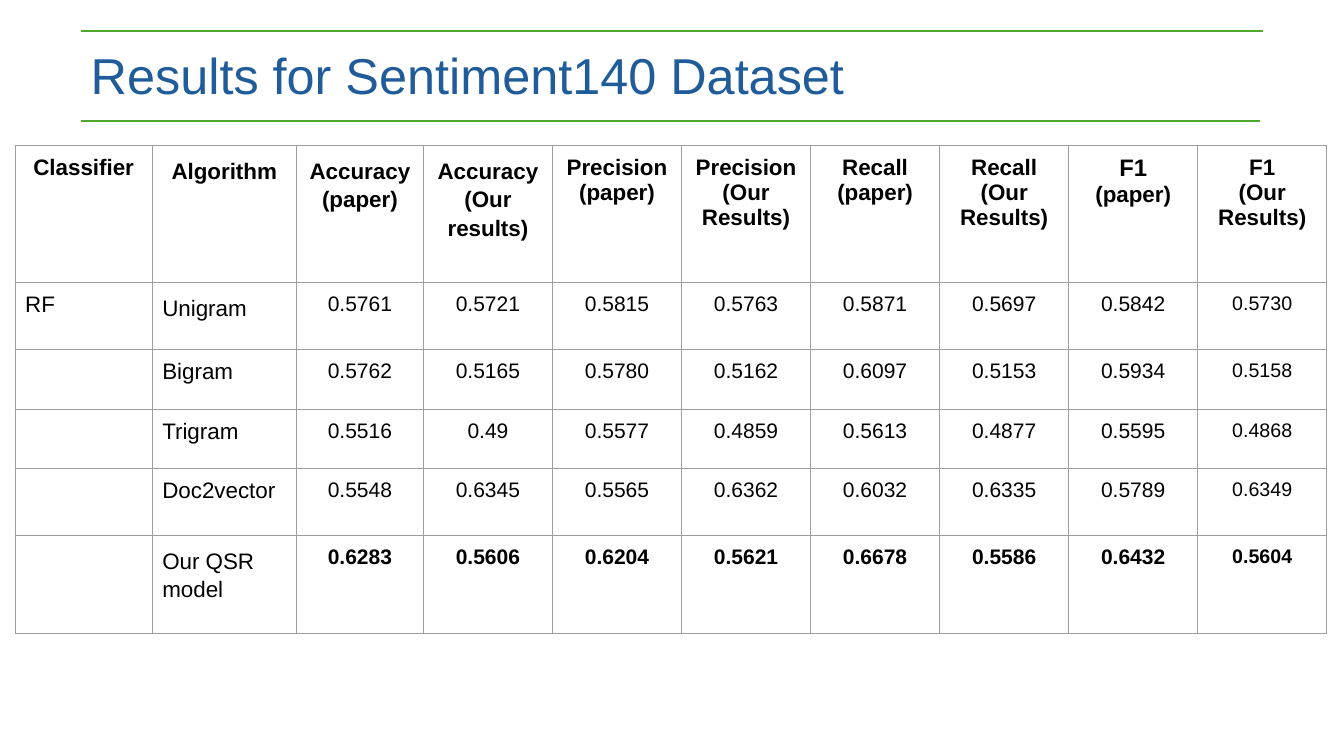
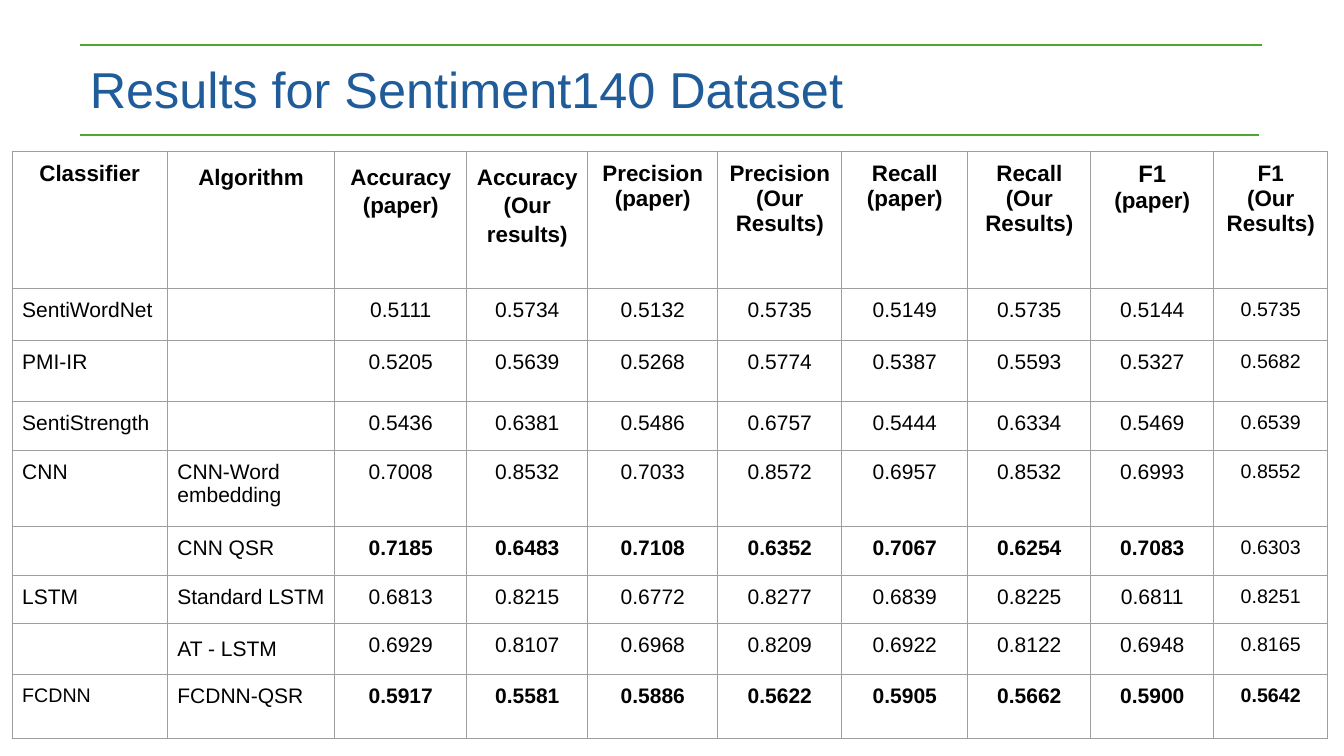
from typing import NamedTuple

from lxml.etree import SubElement
from pptx import Presentation
from pptx.dml.color import RGBColor
from pptx.enum.shapes import MSO_CONNECTOR
from pptx.enum.text import MSO_ANCHOR, MSO_AUTO_SIZE, PP_ALIGN
from pptx.oxml import parse_xml
from pptx.oxml.ns import nsdecls, qn
from pptx.util import Inches, Pt

SLIDE_WIDTH, SLIDE_HEIGHT = Inches(13.33), Inches(7.5)
TITLE_ONLY = 5
FONT = "Arial"
BLUE = RGBColor(0x1F, 0x5C, 0x99)
GREEN = RGBColor(0x4E, 0xA7, 0x2E)
BLACK = RGBColor(0, 0, 0)
GRID_GRAY = RGBColor(0x9E, 0x9E, 0x9E)

TITLE = "Results for Sentiment140 Dataset"
TITLE_WIDTH, TITLE_HEIGHT = 9.62, 0.71
RULES = ((-0.08, 11.73), (0.81, 11.7))

HEADER_HEIGHT = 1.36
HEADINGS = (
    "Classifier", "Algorithm",
    "Accuracy\n(paper)", "Accuracy\n(Our results)",
    "Precision\n(paper)", "Precision\n(Our Results)",
    "Recall\n(paper)", "Recall\n(Our Results)",
    "F1\n(paper)", "F1\n(Our Results)",
)
LOOSE_HEADINGS = range(1, 4)
F1_PAPER = 8
LOOSE, SINGLE = 1.15, 1.0
HEADING_SIZE, SCORE_SIZE, LAST_SCORE_SIZE = 16, 15, 14


class Result(NamedTuple):
    height: float
    classifier: str
    algorithm: str
    scores: str
    bold_scores: int = 0
    spacing: float = SINGLE
    classifier_size: int = 0


FOREST_COLUMNS = (1.36, 1.43, 1.26) + (1.28,) * 7
FOREST_RESULTS = (
    Result(0.67, "RF", "Unigram",
           "0.5761 0.5721 0.5815 0.5763 0.5871 0.5697 0.5842 0.5730", spacing=LOOSE),
    Result(0.59, "", "Bigram",
           "0.5762 0.5165 0.5780 0.5162 0.6097 0.5153 0.5934 0.5158"),
    Result(0.59, "", "Trigram",
           "0.5516 0.49 0.5577 0.4859 0.5613 0.4877 0.5595 0.4868"),
    Result(0.66, "", "Doc2vector",
           "0.5548 0.6345 0.5565 0.6362 0.6032 0.6335 0.5789 0.6349"),
    Result(0.98, "", "Our QSR model",
           "0.6283 0.5606 0.6204 0.5621 0.6678 0.5586 0.6432 0.5604", 8, LOOSE),
)

NETWORK_COLUMNS = (1.54, 1.66, 1.31, 1.2, 1.29, 1.23, 1.25, 1.22, 1.22, 1.13)
NETWORK_RESULTS = (
    Result(0.52, "SentiWordNet", "",
           "0.5111 0.5734 0.5132 0.5735 0.5149 0.5735 0.5144 0.5735"),
    Result(0.6, "PMI-IR", "",
           "0.5205 0.5639 0.5268 0.5774 0.5387 0.5593 0.5327 0.5682"),
    Result(0.49, "SentiStrength", "",
           "0.5436 0.6381 0.5486 0.6757 0.5444 0.6334 0.5469 0.6539"),
    Result(0.75, "CNN", "CNN-Word embedding",
           "0.7008 0.8532 0.7033 0.8572 0.6957 0.8532 0.6993 0.8552"),
    Result(0.49, "", "CNN QSR",
           "0.7185 0.6483 0.7108 0.6352 0.7067 0.6254 0.7083 0.6303", 7),
    Result(0.48, "LSTM", "Standard LSTM",
           "0.6813 0.8215 0.6772 0.8277 0.6839 0.8225 0.6811 0.8251"),
    Result(0.5, "", "AT - LSTM",
           "0.6929 0.8107 0.6968 0.8209 0.6922 0.8122 0.6948 0.8165", spacing=LOOSE),
    Result(0.64, "FCDNN", "FCDNN-QSR",
           "0.5917 0.5581 0.5886 0.5622 0.5905 0.5662 0.5900 0.5642", 8,
           classifier_size=14),
)


def set_font(paragraph, size, color, bold=False):
    font = paragraph.font
    font.name, font.size, font.bold = FONT, Pt(size), bold
    font.color.rgb = color


def add_rule(slide, left, top, length):
    rule = slide.shapes.add_connector(
        MSO_CONNECTOR.STRAIGHT,
        Inches(left), Inches(top), Inches(left + length), Inches(top))
    rule.line.color.rgb = GREEN
    rule.line.width = Pt(1.5)
    SubElement(rule._element.spPr, qn("a:effectLst"))


def add_title(slide, left, top):
    for offset, length in RULES:
        add_rule(slide, left, top + offset, length)
    title = slide.shapes.title
    title.left, title.top = Inches(left), Inches(top)
    title.width, title.height = Inches(TITLE_WIDTH), Inches(TITLE_HEIGHT)
    frame = title.text_frame
    frame.text = TITLE
    frame.word_wrap = True
    frame.auto_size = MSO_AUTO_SIZE.SHAPE_TO_FIT_TEXT
    frame.vertical_anchor = MSO_ANCHOR.TOP
    frame.paragraphs[0].alignment = PP_ALIGN.LEFT
    set_font(frame.paragraphs[0], 36, BLUE)


def style_cell(cell):
    cell.margin_left = cell.margin_right = Inches(0.1)
    cell.margin_top = cell.margin_bottom = Inches(0.1)
    properties = cell._tc.get_or_add_tcPr()
    for side in ("lnL", "lnR", "lnT", "lnB"):
        properties.append(parse_xml(
            f'<a:{side} {nsdecls("a")} w="{Pt(0.75)}"><a:solidFill>'
            f'<a:srgbClr val="{GRID_GRAY}"/></a:solidFill></a:{side}>'))
    cell.fill.background()


def write_cell(cell, text, size, bold=False, spacing=SINGLE, align=PP_ALIGN.CENTER):
    style_cell(cell)
    cell.text = text
    for paragraph in cell.text_frame.paragraphs:
        paragraph.alignment = align
        paragraph.line_spacing = spacing
        set_font(paragraph, size, BLACK, bold)


def write_headings(table):
    for column, heading in enumerate(HEADINGS):
        spacing = LOOSE if column in LOOSE_HEADINGS else SINGLE
        write_cell(table.cell(0, column), heading, HEADING_SIZE, True, spacing)
    table.cell(0, F1_PAPER).text_frame.paragraphs[0].font.size = Pt(17)


def write_result(table, row, result, label_size):
    write_cell(table.cell(row, 0), result.classifier,
               result.classifier_size or label_size, align=PP_ALIGN.LEFT)
    write_cell(table.cell(row, 1), result.algorithm, label_size,
               spacing=result.spacing, align=PP_ALIGN.LEFT)
    scores = result.scores.split()
    for index, score in enumerate(scores):
        size = LAST_SCORE_SIZE if index == len(scores) - 1 else SCORE_SIZE
        write_cell(table.cell(row, index + 2), score, size, index < result.bold_scores)


def add_results(slide, left, top, widths, results, label_size):
    heights = [HEADER_HEIGHT] + [result.height for result in results]
    table = slide.shapes.add_table(
        len(heights), len(widths), Inches(left), Inches(top),
        Inches(sum(widths)), Inches(sum(heights))).table
    table.first_row = table.horz_banding = False
    for column, width in zip(table.columns, widths):
        column.width = Inches(width)
    for row, height in zip(table.rows, heights):
        row.height = Inches(height)
    write_headings(table)
    for row, result in enumerate(results, start=1):
        write_result(table, row, result, label_size)


def main():
    deck = Presentation()
    deck.slide_width, deck.slide_height = SLIDE_WIDTH, SLIDE_HEIGHT
    layout = deck.slide_layouts[TITLE_ONLY]

    forest = deck.slides.add_slide(layout)
    add_title(forest, 0.8, 0.39)
    add_results(forest, 0.15, 1.44, FOREST_COLUMNS, FOREST_RESULTS, 16)

    networks = deck.slides.add_slide(layout)
    add_title(networks, 0.79, 0.53)
    add_results(networks, 0.12, 1.5, NETWORK_COLUMNS, NETWORK_RESULTS, 15)

    deck.save("out.pptx")


if __name__ == "__main__":
    main()
